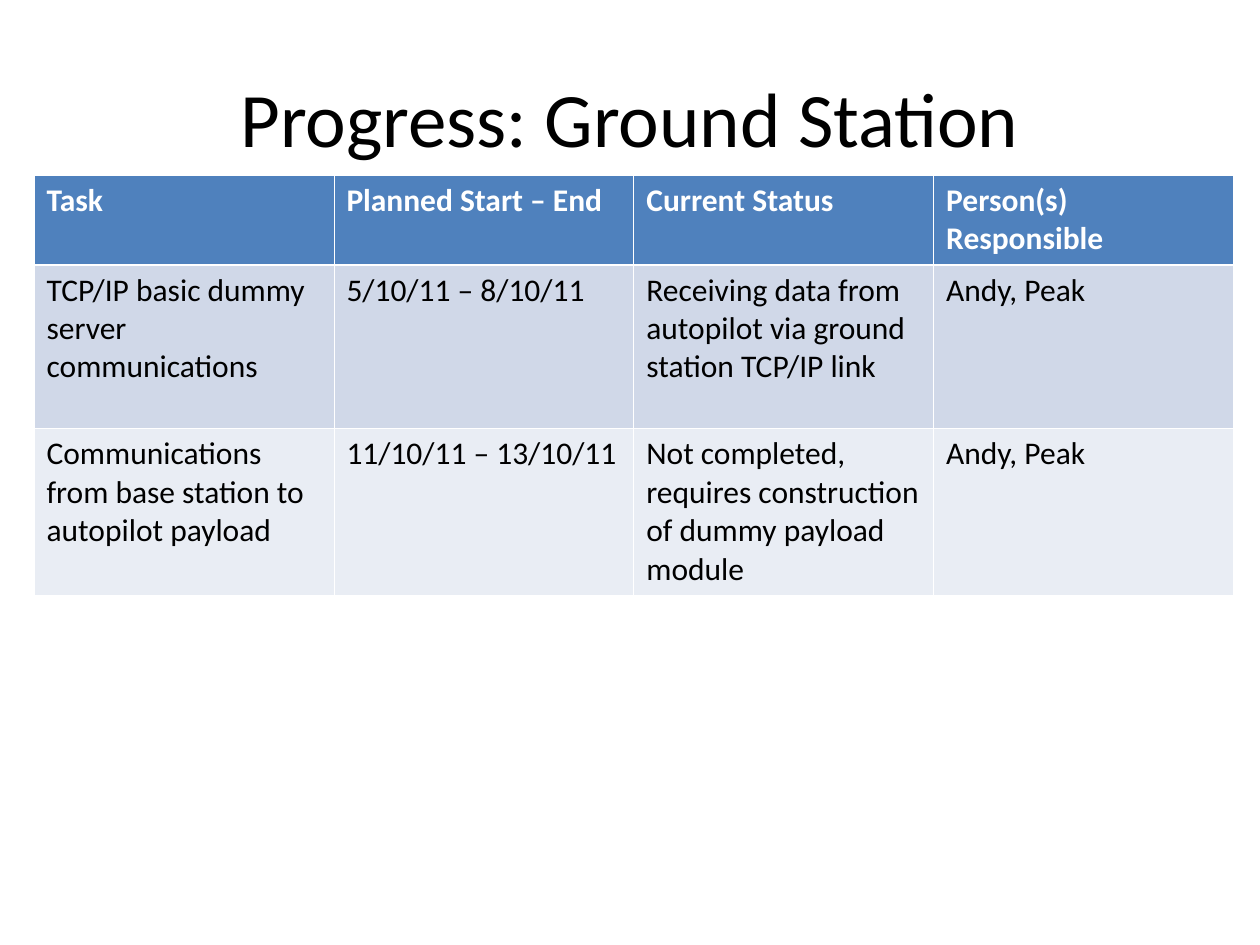
from lxml.etree import SubElement
from pptx import Presentation
from pptx.dml.color import RGBColor
from pptx.enum.text import MSO_ANCHOR, PP_ALIGN
from pptx.oxml.ns import qn
from pptx.util import Inches, Pt

BLACK = RGBColor(0x00, 0x00, 0x00)
WHITE = RGBColor(0xFF, 0xFF, 0xFF)
HEADER_BLUE = RGBColor(0x4F, 0x81, 0xBD)
BANDS = (RGBColor(0xD0, 0xD8, 0xE8), RGBColor(0xE9, 0xED, 0xF4))

THIN, THICK = 0.45, 1.47

PROGRESS = [
    ("Task", "Planned Start – End", "Current Status", "Person(s) Responsible"),
    ("TCP/IP basic dummy server communications", "5/10/11 – 8/10/11",
     "Receiving data from autopilot via ground station TCP/IP link", "Andy, Peak"),
    ("Communications from base station to autopilot payload", "11/10/11 – 13/10/11",
     "Not completed, requires construction of dummy payload module", "Andy, Peak"),
]


class ProgressSlide:
    """Holds the type style and the slide being built."""

    font_name = "Calibri"
    title_size = 44
    table_size = 18

    def __init__(self, presentation):
        self.slide = presentation.slides.add_slide(presentation.slide_layouts[5])

    def style_runs(self, text_frame, size, color, bold=False):
        for paragraph in text_frame.paragraphs:
            for run in paragraph.runs:
                run.font.name = self.font_name
                run.font.size = Pt(size)
                run.font.bold = bold
                run.font.color.rgb = color

    def title(self, wording, left, top, width, height):
        heading = self.slide.shapes.title
        heading.left, heading.top = Inches(left), Inches(top)
        heading.width, heading.height = Inches(width), Inches(height)
        heading.text_frame.text = wording
        heading.text_frame.vertical_anchor = MSO_ANCHOR.MIDDLE
        heading.text_frame.paragraphs[0].alignment = PP_ALIGN.CENTER
        self.style_runs(heading.text_frame, self.title_size, BLACK)

    def borders(self, cell, top, bottom):
        # Border lines have to precede the fill in the cell properties
        properties = cell._tc.get_or_add_tcPr()
        widths = {"a:lnL": THIN, "a:lnR": THIN, "a:lnT": top, "a:lnB": bottom}
        for side, width in widths.items():
            line = SubElement(properties, qn(side), w=str(Pt(width)))
            fill = SubElement(line, qn("a:solidFill"))
            SubElement(fill, qn("a:srgbClr"), val=str(WHITE))

    def table(self, rows, left, top, column_width, row_heights):
        columns = len(rows[0])
        grid = self.slide.shapes.add_table(
            len(rows), columns, Inches(left), Inches(top),
            Inches(column_width * columns), Inches(sum(row_heights))).table
        for column in grid.columns:
            column.width = Inches(column_width)
        for r, (entries, height) in enumerate(zip(rows, row_heights)):
            grid.rows[r].height = Inches(height)
            header = r == 0
            for c, entry in enumerate(entries):
                cell = grid.cell(r, c)
                self.borders(cell, top=THICK if r == 1 else THIN,
                             bottom=THICK if header else THIN)
                cell.fill.solid()
                cell.fill.fore_color.rgb = HEADER_BLUE if header else BANDS[(r - 1) % 2]
                cell.text_frame.text = entry
                self.style_runs(cell.text_frame, self.table_size,
                                WHITE if header else BLACK, bold=header)


def main():
    presentation = Presentation()
    presentation.slide_width, presentation.slide_height = Inches(10), Inches(7.5)
    progress = ProgressSlide(presentation)

    # Heading
    progress.title("Progress: Ground Station", left=0.5, top=0.3, width=9, height=1.25)

    # Task table: header row and two equal task rows
    progress.table(PROGRESS, left=0.27, top=1.39, column_width=2.38,
                   row_heights=(0.7, 1.3, 1.3))

    presentation.save("out.pptx")


if __name__ == "__main__":
    main()
